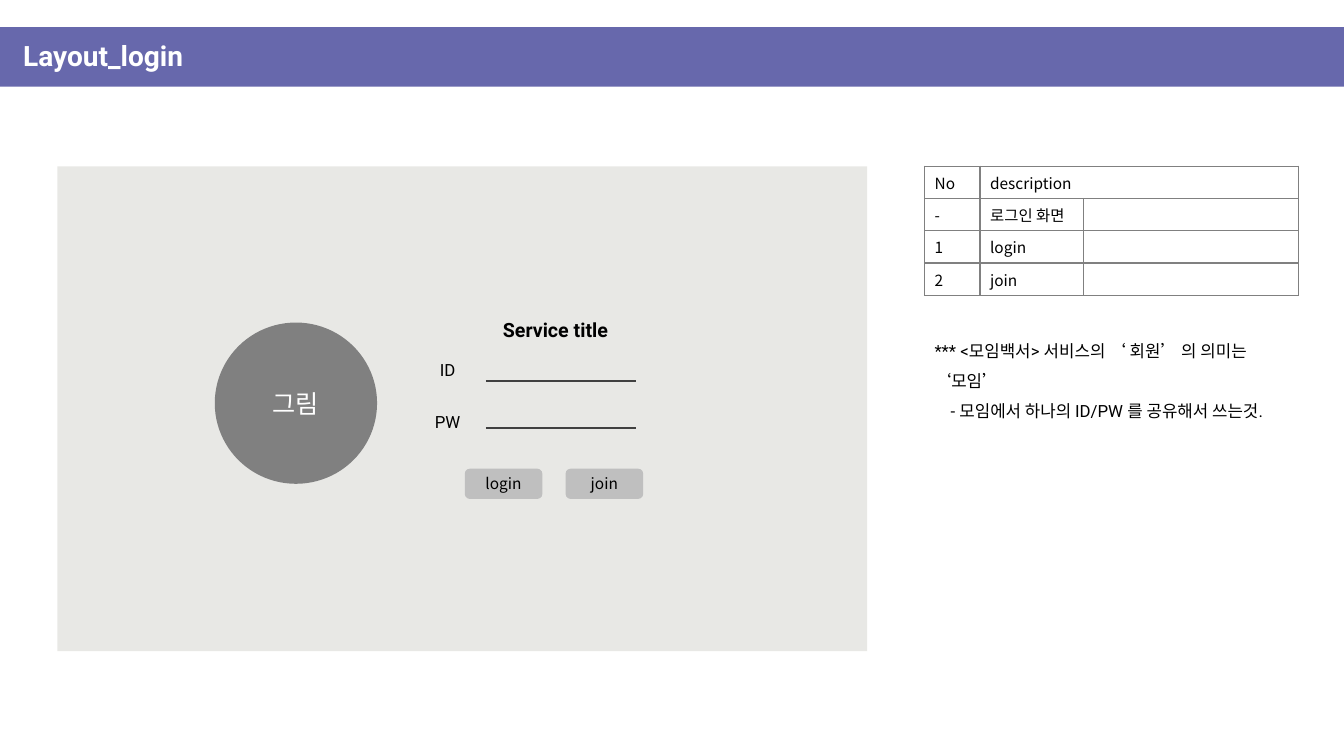
from dataclasses import dataclass

from lxml.etree import SubElement
from pptx import Presentation
from pptx.dml.color import RGBColor
from pptx.enum.shapes import MSO_CONNECTOR, MSO_SHAPE
from pptx.enum.text import MSO_ANCHOR, PP_ALIGN
from pptx.oxml.ns import qn
from pptx.util import Inches, Pt


@dataclass(frozen=True)
class Theme:
    banner: str = "6768AC"
    screen: str = "E8E8E5"
    button: str = "BFBFBF"
    gray: str = "808080"
    rule: str = "404040"
    white: str = "FFFFFF"
    black: str = "000000"
    latin: str = "Roboto"
    korean: str = "Noto Sans CJK KR"
    title: int = 20
    picture: int = 18
    heading: int = 14
    body: int = 12
    small: int = 11


THEME = Theme()


def write(frame, *lines, size=THEME.body, font=THEME.latin, color=THEME.black, bold=False,
          align=PP_ALIGN.LEFT, anchor=MSO_ANCHOR.TOP, spacing=1.0):
    """Fill a text frame with one paragraph per line."""
    frame.word_wrap = True
    frame.vertical_anchor = anchor
    for index, line in enumerate(lines):
        paragraph = frame.add_paragraph() if index else frame.paragraphs[0]
        paragraph.alignment = align
        paragraph.line_spacing = spacing
        run = paragraph.add_run()
        run.text = line
        run.font.name = font
        run.font.size = Pt(size)
        run.font.bold = bold
        run.font.color.rgb = RGBColor.from_string(color)
        SubElement(run.font._element, qn("a:ea"), typeface=THEME.korean)


def add_block(slide, kind, left, top, width, height, fill):
    shape = slide.shapes.add_shape(
        kind, Inches(left), Inches(top), Inches(width), Inches(height))
    shape.shadow.inherit = False
    shape.fill.solid()
    shape.fill.fore_color.rgb = RGBColor.from_string(fill)
    shape.line.fill.background()
    return shape


def add_text(slide, left, top, width, height, *lines, **text_format):
    box = slide.shapes.add_textbox(
        Inches(left), Inches(top), Inches(width), Inches(height))
    write(box.text_frame, *lines, spacing=1.5, **text_format)
    return box


def add_field(slide, label, label_top, line_top):
    """Draw a form label and the line to write on."""
    add_text(slide, 4.18, label_top, 0.52, 0.38, label, align=PP_ALIGN.CENTER)
    line = slide.shapes.add_connector(
        MSO_CONNECTOR.STRAIGHT, Inches(4.82), Inches(line_top), Inches(6.31), Inches(line_top))
    line.line.color.rgb = RGBColor.from_string(THEME.rule)
    line.line.width = Pt(1.5)
    SubElement(line._element.spPr, qn("a:effectLst"))


def add_button(slide, left, label):
    button = add_block(slide, MSO_SHAPE.ROUNDED_RECTANGLE, left, 4.65, 0.77, 0.3, THEME.button)
    write(button.text_frame, label, size=THEME.small, font=THEME.korean,
          align=PP_ALIGN.CENTER, anchor=MSO_ANCHOR.MIDDLE)


def style_cell(cell):
    """Give a cell thin gray borders and a white fill."""
    properties = cell._tc.get_or_add_tcPr()
    for side in ("lnL", "lnR", "lnT", "lnB"):
        border = SubElement(properties, qn(f"a:{side}"), w=str(Pt(1)))
        fill = SubElement(border, qn("a:solidFill"))
        SubElement(fill, qn("a:srgbClr"), val=THEME.gray)
    cell.fill.solid()
    cell.fill.fore_color.rgb = RGBColor.from_string(THEME.white)


def add_description_table(slide, rows):
    widths = (0.55, 1.03, 2.13)
    row_height = 0.32
    table = slide.shapes.add_table(
        len(rows), len(widths), Inches(9.17), Inches(1.65),
        Inches(sum(widths)), Inches(row_height * len(rows))).table
    table.first_row = table.horz_banding = False
    for column, width in zip(table.columns, widths):
        column.width = Inches(width)
    for row in table.rows:
        row.height = Inches(row_height)
    for cell in table.iter_cells():
        style_cell(cell)
        end = SubElement(cell.text_frame.paragraphs[0]._p, qn("a:endParaRPr"))
        end.set("sz", str(THEME.small * 100))
    table.cell(0, 1).merge(table.cell(0, 2))
    for row_index, texts in enumerate(rows):
        for column_index, text in enumerate(texts):
            cell = table.cell(row_index, column_index)
            write(cell.text_frame, text, size=THEME.small, font=THEME.korean)
            cell.vertical_anchor = MSO_ANCHOR.MIDDLE


def add_login_screen(slide):
    add_block(slide, MSO_SHAPE.RECTANGLE, 0.57, 1.65, 8.03, 4.81, THEME.screen)
    picture = add_block(slide, MSO_SHAPE.OVAL, 2.13, 3.2, 1.61, 1.6, THEME.gray)
    write(picture.text_frame, "그림", size=THEME.picture, font=THEME.korean,
          color=THEME.white, align=PP_ALIGN.CENTER, anchor=MSO_ANCHOR.MIDDLE)
    add_text(slide, 4.46, 2.99, 2.1, 0.42, "Service title",
             size=THEME.heading, bold=True, align=PP_ALIGN.CENTER)
    add_field(slide, "ID", 3.42, 3.78)
    add_field(slide, "PW", 3.94, 4.25)
    add_button(slide, 4.61, "login")
    add_button(slide, 5.61, "join")


def main():
    presentation = Presentation()
    presentation.slide_width = Inches(13.33)
    presentation.slide_height = Inches(7.5)
    slide = presentation.slides.add_slide(presentation.slide_layouts[6])

    banner = add_block(slide, MSO_SHAPE.RECTANGLE, 0, 0.27, 13.33, 0.59, THEME.banner)
    banner.text_frame.margin_left = Inches(0.23)
    write(banner.text_frame, "Layout_login", size=THEME.title, color=THEME.white,
          bold=True, anchor=MSO_ANCHOR.MIDDLE, spacing=0.9)

    add_login_screen(slide)
    add_description_table(slide, [
        ("No", "description"),
        ("-", "로그인 화면"),
        ("1", "login"),
        ("2", "join"),
    ])
    note = add_text(slide, 9.17, 3.23, 3.55, 0.68,
                    "*** <모임백서> 서비스의 ‘ 회원’ 의 의미는 ‘모임’",
                    "- 모임에서 하나의 ID/PW 를 공유해서 쓰는것.")
    detail = note.text_frame.paragraphs[1]
    detail._p.get_or_add_pPr().set("indent", str(Inches(0.16)))

    presentation.save("out.pptx")


if __name__ == "__main__":
    main()
